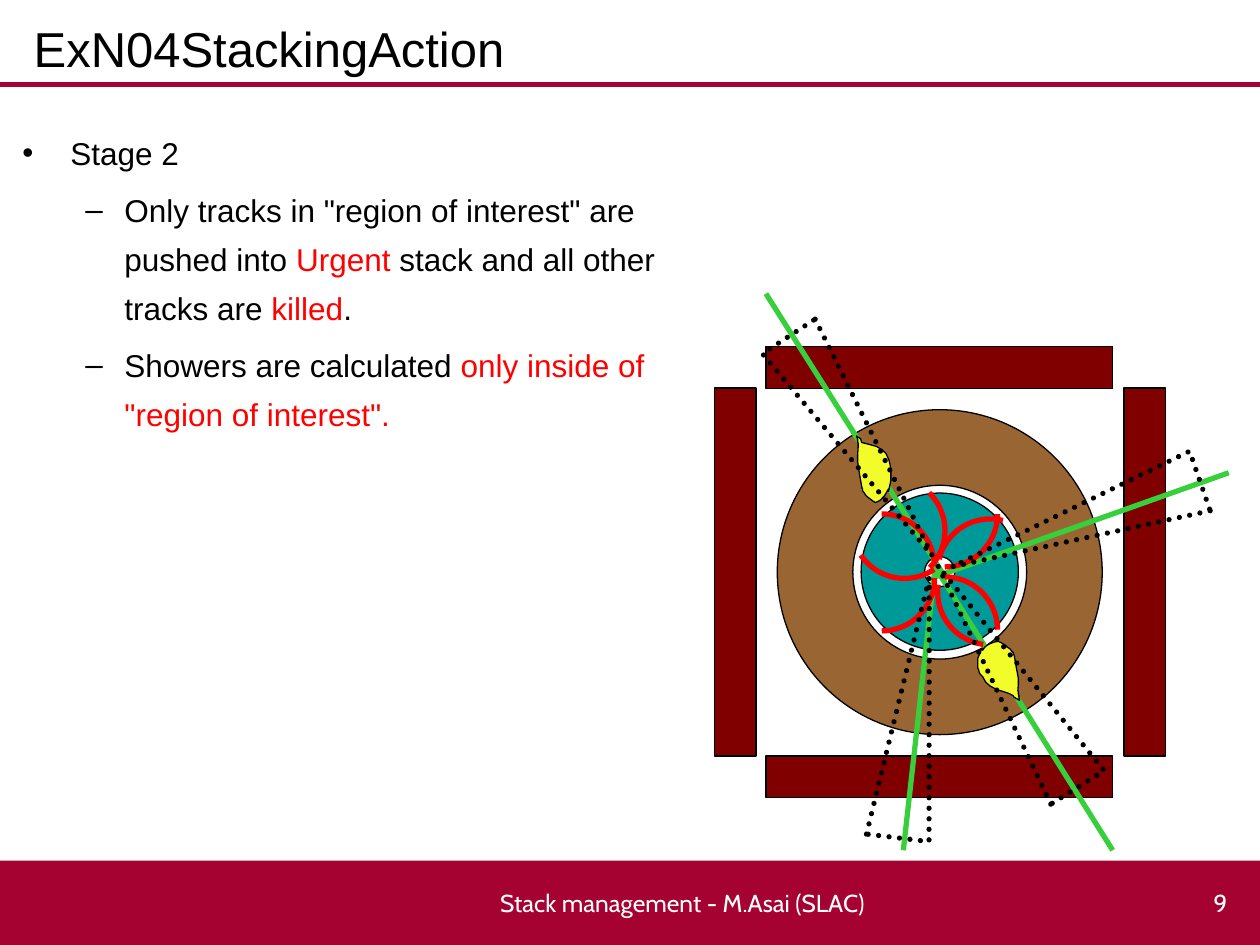
from lxml import etree
from pptx import Presentation
from pptx.dml.color import RGBColor
from pptx.enum.dml import MSO_LINE
from pptx.enum.shapes import MSO_CONNECTOR, MSO_SHAPE
from pptx.enum.text import MSO_ANCHOR, PP_ALIGN
from pptx.oxml.ns import qn
from pptx.util import Cm, Pt

RECTANGLE, DONUT = MSO_SHAPE.RECTANGLE, MSO_SHAPE.DONUT
ARC, TRIANGLE = MSO_SHAPE.ARC, MSO_SHAPE.ISOSCELES_TRIANGLE
STRAIGHT = MSO_CONNECTOR.STRAIGHT
LEFT, CENTER, RIGHT = PP_ALIGN.LEFT, PP_ALIGN.CENTER, PP_ALIGN.RIGHT
TOP, MIDDLE = MSO_ANCHOR.TOP, MSO_ANCHOR.MIDDLE
DOTTED = MSO_LINE.ROUND_DOT

BLACK = RGBColor(0x00, 0x00, 0x00)
WHITE = RGBColor(0xFF, 0xFF, 0xFF)
RED = RGBColor(0xFF, 0x00, 0x00)
CRIMSON = RGBColor(0xA6, 0x02, 0x31)
BROWN = RGBColor(0x99, 0x66, 0x33)
TEAL = RGBColor(0x00, 0x99, 0x99)
MAROON = RGBColor(0x80, 0x00, 0x00)
GREEN = RGBColor(0x37, 0xCF, 0x3B)
YELLOW = RGBColor(0xF2, 0xFC, 0x2A)

# All positions below are in inches; cm() turns them into lengths.
TITLE = [[("ExN04StackingAction", BLACK)]]
FOOTER = [[("Stack management - M.Asai (SLAC)", WHITE)]]
PAGE_NUMBER = [[("9", WHITE)]]
BODY = [
    [("Stage 2", BLACK)],
    [('Only tracks in "region of interest" are pushed into ', BLACK),
     ("Urgent", RED), (" stack and all other tracks are ", BLACK),
     ("killed", RED), (".", BLACK)],
    [("Showers are calculated ", BLACK),
     ('only inside of "region of interest".', RED)],
]
# Bullet, left margin, hanging indent, outline level
BULLETS = [("•", 0.38, 0.38, 0), ("–", 0.81, 0.31, 1), ("–", 0.81, 0.31, 1)]

DETECTOR_CENTER = (7.46, 4.54)
# Outer radius, inner radius, colour
RINGS = [(1.29, 0.69, BROWN), (0.625, 0.12, TEAL)]
MUON_CHAMBERS = [
    (6.08, 2.75, 2.75, 0.33), (6.08, 6, 2.75, 0.33),
    (5.67, 3.08, 0.33, 2.92), (8.92, 3.08, 0.33, 2.92),
]
STRAIGHT_TRACKS = [
    ((7.42, 4.5), (8.83, 6.75)), ((7.42, 4.5), (7.17, 6.75)),
    ((6.08, 2.33), (7.5, 4.58)), ((7.42, 4.58), (9.75, 3.75)),
]
CURVE_RADIUS = 0.42
# Centre of curvature and start angle of each quarter circle
CURVED_TRACKS = [
    (7.5, 4.08, 0), (7.86, 4.54, 193.8), (7.86, 4.7, 97.9), (7.08, 4.21, 314.5),
    (7.18, 4.17, 56), (7, 4.5, 270), (7, 4.59, 0), (7.5, 5, 270),
]
# Start point, then two control points and an end point for each curve
SHOWERS = [
    [(7.8, 5.16), (7.83, 5.11), (7.87, 5.1), (7.92, 5.09),
     (7.96, 5.11), (8, 5.13), (8.03, 5.17), (8.05, 5.19), (8.04, 5.18), (8.05, 5.21),
     (8.07, 5.3), (8.09, 5.38), (8.08, 5.48), (8.08, 5.51), (8.09, 5.53), (8.09, 5.56),
     (8.05, 5.53), (8.06, 5.55), (8.04, 5.52), (7.99, 5.49), (7.82, 5.47), (7.8, 5.37),
     (7.78, 5.36), (7.76, 5.32), (7.76, 5.28), (7.76, 5.26), (7.76, 5.23), (7.76, 5.23),
     (7.77, 5.2), (7.78, 5.18), (7.79, 5.15)],
    [(7.05, 3.88), (7.02, 3.95), (6.99, 3.97), (6.95, 3.99),
     (6.92, 3.97), (6.88, 3.95), (6.86, 3.91), (6.84, 3.89), (6.85, 3.89), (6.84, 3.86),
     (6.82, 3.77), (6.8, 3.67), (6.81, 3.55), (6.81, 3.52), (6.81, 3.49), (6.8, 3.46),
     (6.84, 3.49), (6.82, 3.47), (6.84, 3.51), (6.89, 3.53), (7.03, 3.54), (7.05, 3.64),
     (7.06, 3.66), (7.07, 3.7), (7.07, 3.74), (7.07, 3.76), (7.07, 3.8), (7.07, 3.8),
     (7.07, 3.83), (7.06, 3.87), (7.05, 3.9)],
]
CONE_SIZE = (0.5, 2.08)
# Left, top, rotation
CONES = [(7, 4.58, 6.9), (7.75, 4.33, 327.8), (8.29, 3.12, 250.9), (6.58, 2.5, 146.8)]


def cm(inches):
    return Cm(round(inches * 2.54, 2))


def format_shape(shape, fill=None, line=None, width=0.75):
    shape.shadow.inherit = False
    if fill is None:
        shape.fill.background()
    else:
        shape.fill.solid()
        shape.fill.fore_color.rgb = fill
    if line is None:
        shape.line.fill.background()
    else:
        shape.line.color.rgb = line
        shape.line.width = Pt(width)


def add_preset(slide, preset, box, **style):
    shape = slide.shapes.add_shape(preset, *map(cm, box))
    format_shape(shape, **style)
    return shape


def add_line(slide, start, end, color):
    connector = slide.shapes.add_connector(STRAIGHT, *map(cm, (*start, *end)))
    connector.line.color.rgb = color
    connector.line.width = Pt(3)
    etree.SubElement(connector._element.spPr, qn("a:effectLst"))


def add_bullet(paragraph, character, margin, hanging, level):
    paragraph.level = level
    properties = paragraph._p.get_or_add_pPr()
    properties.set("marL", str(cm(margin)))
    properties.set("indent", str(-cm(hanging)))
    color = etree.SubElement(properties, qn("a:buClr"))
    etree.SubElement(color, qn("a:srgbClr"), val=str(BLACK))
    etree.SubElement(properties, qn("a:buFont"), typeface="Arial")
    etree.SubElement(properties, qn("a:buChar"), char=character)


def add_text(slide, paragraphs, box, *, size, font="Arial", align=LEFT, anchor=TOP,
             bullets=(), line_spacing=None, space_before=0):
    frame = slide.shapes.add_textbox(*map(cm, box)).text_frame
    frame.word_wrap = True
    frame.vertical_anchor = anchor
    for index, runs in enumerate(paragraphs):
        paragraph = frame.add_paragraph() if index else frame.paragraphs[0]
        if bullets:
            add_bullet(paragraph, *bullets[index])
        paragraph.alignment = align
        if line_spacing:
            paragraph.line_spacing = line_spacing
        if index:
            paragraph.space_before = Pt(space_before)
        for text, color in runs:
            run = paragraph.add_run()
            run.text = text
            run.font.size = Pt(size)
            run.font.name = font
            run.font.color.rgb = color


def curve_points(points, steps=6):
    """Return points along a chain of cubic Bezier curves."""
    result = [points[0]]
    for first in range(0, len(points) - 1, 3):
        a, b, c, d = points[first:first + 4]
        for step in range(1, steps + 1):
            t = step / steps
            u = 1 - t
            weights = (u ** 3, 3 * u * u * t, 3 * u * t * t, t ** 3)
            result.append(tuple(sum(w * point[axis] for w, point in zip(weights, (a, b, c, d)))
                                for axis in (0, 1)))
    return result


def square_around(x, y, radius):
    return x - radius, y - radius, 2 * radius, 2 * radius


def draw_detector(slide):
    for outer, inner, color in RINGS:
        ring = add_preset(slide, DONUT, square_around(*DETECTOR_CENTER, outer),
                          fill=color, line=BLACK)
        ring.adjustments[0] = (outer - inner) / (2 * outer)
    for box in MUON_CHAMBERS:
        add_preset(slide, RECTANGLE, box, fill=MAROON, line=BLACK)


def draw_tracks(slide):
    for start, end in STRAIGHT_TRACKS:
        add_line(slide, start, end, GREEN)
    for x, y, start_angle in CURVED_TRACKS:
        track = add_preset(slide, ARC, square_around(x, y, CURVE_RADIUS), line=RED, width=3)
        track.rotation = (start_angle + 90) % 360  # the preset arc starts at 270 degrees
    for points in SHOWERS:
        outline = [(cm(x), cm(y)) for x, y in curve_points(points)]
        builder = slide.shapes.build_freeform(*outline[0])
        builder.add_line_segments(outline[1:], close=True)
        format_shape(builder.convert_to_shape(), fill=YELLOW, line=BLACK)


def draw_regions_of_interest(slide):
    for left, top, rotation in CONES:
        cone = add_preset(slide, TRIANGLE, (left, top, *CONE_SIZE), line=BLACK, width=3)
        cone.rotation = rotation
        cone.line.dash_style = DOTTED
        cone._element.spPr.find(qn("a:ln")).set("cap", "rnd")


def main():
    presentation = Presentation()
    presentation.slide_width, presentation.slide_height = cm(10), cm(7.5)
    slide = presentation.slides.add_slide(presentation.slide_layouts[6])
    add_preset(slide, RECTANGLE, (0, 6.83, 10, 0.67), fill=CRIMSON)
    add_line(slide, (0, 0.67), (10, 0.67), CRIMSON)
    add_text(slide, TITLE, (0.17, 0.17, 9.67, 0.42), size=28, anchor=MIDDLE)
    add_text(slide, BODY, (0.08, 0.92, 5.33, 6.17), size=18, bullets=BULLETS,
             line_spacing=1.3, space_before=4.5)
    add_text(slide, FOOTER, (1.75, 7, 7.33, 0.35), size=14, font="Cabin", align=CENTER)
    add_text(slide, PAGE_NUMBER, (9.17, 7, 0.67, 0.35), size=14, font="Cabin", align=RIGHT)
    draw_detector(slide)
    draw_tracks(slide)
    draw_regions_of_interest(slide)
    presentation.save("out.pptx")


if __name__ == "__main__":
    main()
